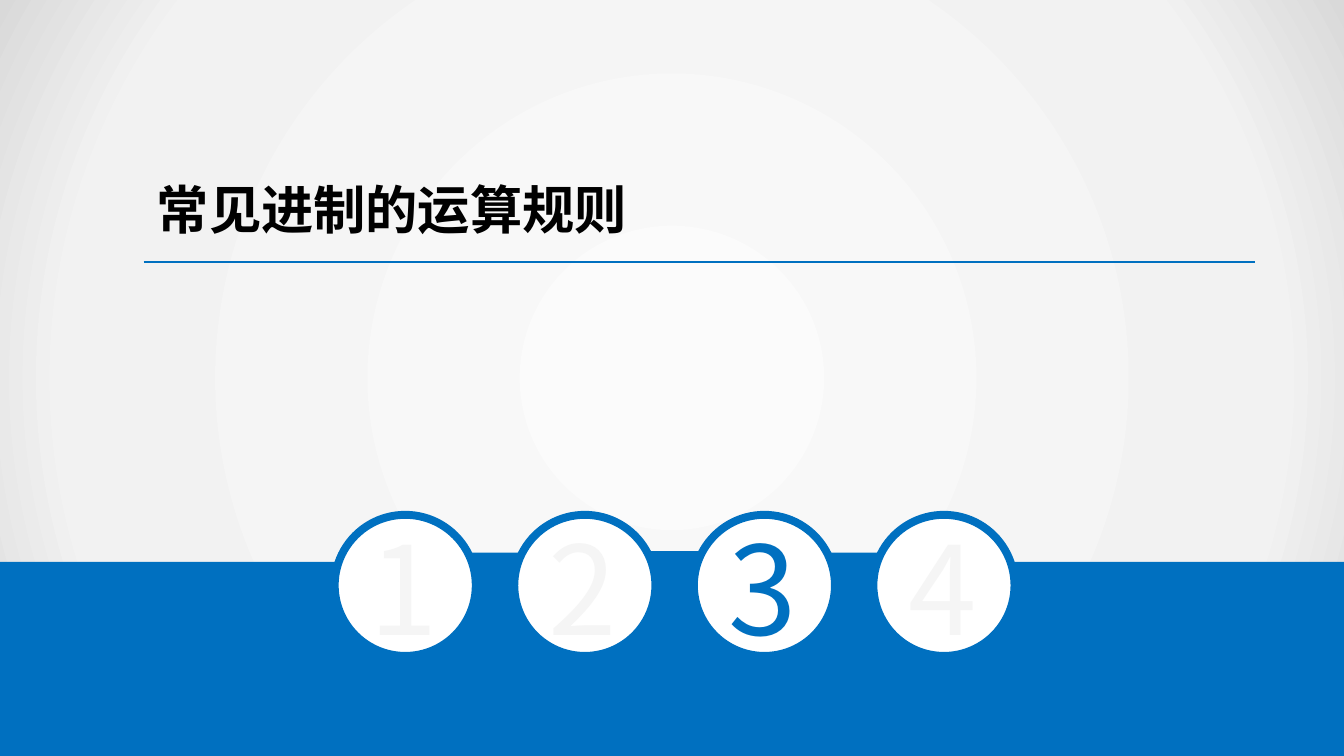
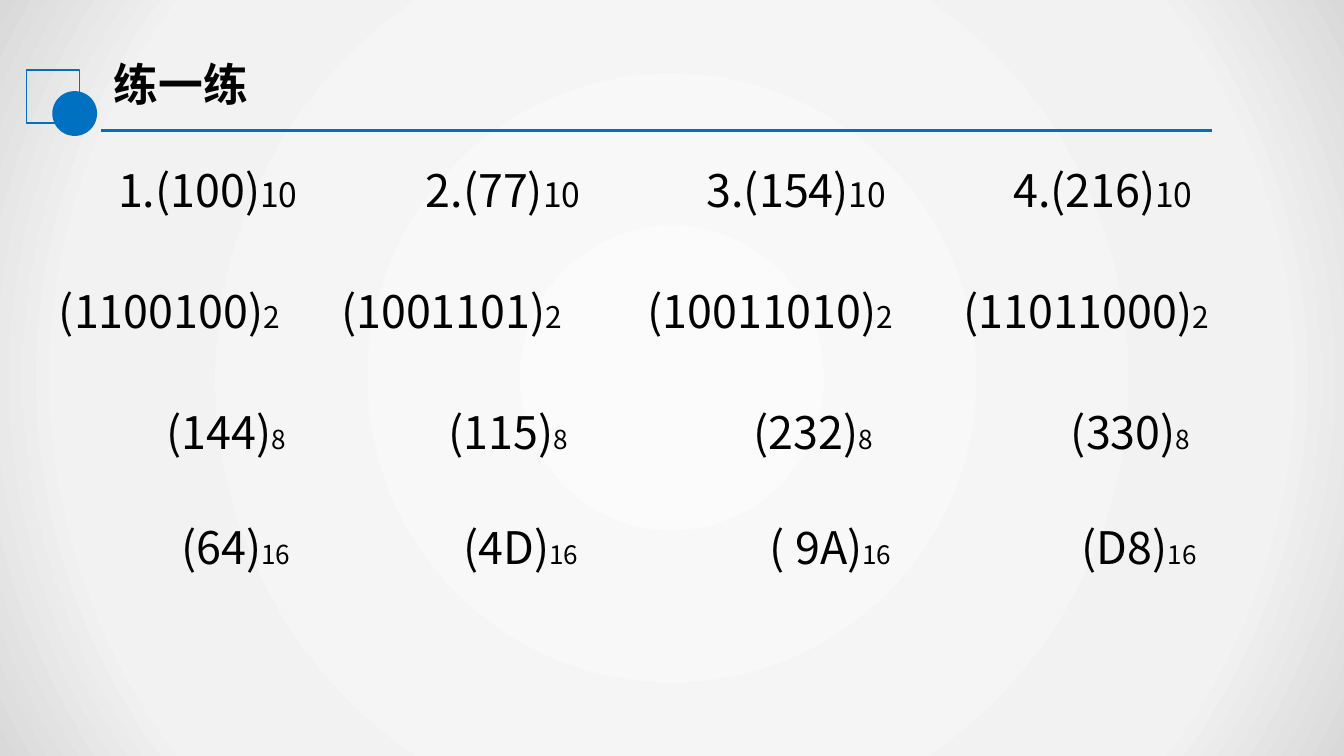
import math
from dataclasses import dataclass

import lxml.etree as etree
import pptx
import pptx.dml.color
import pptx.enum.shapes
import pptx.enum.text
import pptx.oxml.ns
import pptx.util

Pt = pptx.util.Pt
qn = pptx.oxml.ns.qn
SHAPE = pptx.enum.shapes.MSO_SHAPE
ANCHOR = pptx.enum.text.MSO_ANCHOR


@dataclass(frozen=True)
class Theme:
    blue: str = "0070C0"
    white: str = "FFFFFF"
    black: str = "000000"
    pale: str = "F5F5F5"
    backdrop: str = "F2F2F2"
    glow: tuple = ((0, "FBFBFB"), (79, "F2F2F2"), (100, "D9D9D9"))
    title_font: str = "Arial"
    body_font: str = "Noto Sans CJK SC"
    section: int = 28
    title: int = 24
    body: int = 24
    number: int = 66


T = Theme()
W, H = 720, 405

SECTION_TITLE = "常见进制的运算规则"
SECTIONS = ["1", "2", "3", "4"]
CURRENT = "3"

EXERCISE_TITLE = "练一练"
# Each row: top, base, size of the base, then (number, left, width) per exercise.
CONVERSIONS = [
    (83.5, "10", 18, [("1.(100)", 56.2, 113.8), ("2.(77)", 221, 99.4),
                      ("3.(154)", 371.5, 113.8), ("4.(216)", 535.7, 113.8)]),
    (148.3, "2", 16, [("(1100100)", 24.5, 138.2), ("(1001101)", 175.7, 138.2),
                      ("(10011010)", 339.8, 151.9), ("(11011000)", 509, 151.9)]),
    (213.1, "8", 14, [("(144)", 82.1, 80.6), ("(115)", 233.3, 80.6),
                      ("(232)", 396.7, 80.6), ("(330)", 566.6, 80.6)]),
    (275, "16", 14, [("(64)", 90, 74.9), ("(4D)", 241.2, 79.2),
                     ("( 9A)", 405.4, 85), ("(D8)", 572.4, 79.2)]),
]

# Section markers along the band
CIRCLE_LEFT, CIRCLE_TOP, CIRCLE_SIZE, PITCH = 179.3, 275.8, 75.6, 96.2
BAND_TOP, NOTCH_RX, NOTCH_RY = 301, 12, 11.5
LINK_LEFTS, LINK_TOP, LINK_W, LINK_H = [249.1, 347, 437.8], 296, 34, 29


def rgb(color):
    return pptx.dml.color.RGBColor.from_string(color)


def paint(s, fill=None, line=None, width=0.75):
    s.shadow.inherit = False
    if fill:
        s.fill.solid()
        s.fill.fore_color.rgb = rgb(fill)
    else:
        s.fill.background()
    if line:
        s.line.color.rgb = rgb(line)
        s.line.width = Pt(width)
    else:
        s.line.fill.background()


def add_shape(slide, kind, x, y, w, h, **look):
    s = slide.shapes.add_shape(kind, Pt(x), Pt(y), Pt(w), Pt(h))
    paint(s, **look)
    return s


def add_text(slide, x, y, w, h, runs, font=T.body_font, color=T.black,
             bold=False, wrap=False, grow=True, anchor=ANCHOR.TOP):
    """Add one line of text; runs are (text, size) pairs."""
    s = slide.shapes.add_textbox(Pt(x), Pt(y), Pt(w), Pt(h))
    tf = s.text_frame
    tf.word_wrap = wrap
    tf.vertical_anchor = anchor
    if grow:
        tf.auto_size = pptx.enum.text.MSO_AUTO_SIZE.SHAPE_TO_FIT_TEXT
    p = tf.paragraphs[0]
    for text, size in runs:
        r = p.add_run()
        r.text = text
        r.font.size = Pt(size)
        r.font.bold = bold
        r.font.color.rgb = rgb(color)
        r.font.name = font
        ea = etree.SubElement(r.font._element, qn("a:ea"))
        ea.set("typeface", T.body_font)
    return s


def add_rule(slide, x1, x2, y):
    s = slide.shapes.add_connector(pptx.enum.shapes.MSO_CONNECTOR.STRAIGHT,
                                   Pt(x1), Pt(y), Pt(x2), Pt(y))
    s.line.color.rgb = rgb(T.blue)
    s.line.width = Pt(1.25)
    etree.SubElement(s._element.spPr, qn("a:effectLst"))


def add_slide(prs):
    """Add a blank slide with the shared circular glow behind it."""
    slide = prs.slides.add_slide(prs.slide_layouts[6])
    slide.background.fill.solid()
    slide.background.fill.fore_color.rgb = rgb(T.backdrop)
    s = add_shape(slide, SHAPE.RECTANGLE, 0, 0, W, H)
    grad = etree.Element(qn("a:gradFill"), rotWithShape="1")
    stops = etree.SubElement(grad, qn("a:gsLst"))
    for pos, color in T.glow:
        gs = etree.SubElement(stops, qn("a:gs"), pos=str(pos * 1000))
        etree.SubElement(gs, qn("a:srgbClr"), val=color)
    shade = etree.SubElement(grad, qn("a:path"))
    shade.set("path", "circle")
    etree.SubElement(shade, qn("a:fillToRect"),
                     {side: "50000" for side in "ltrb"})
    sp_pr = s._element.spPr
    sp_pr.replace(sp_pr.find(qn("a:noFill")), grad)
    return slide


def add_band(slide):
    """Draw the bottom band, with a round notch midway between circles."""
    points = []
    for i in range(len(SECTIONS) - 1):
        cx = CIRCLE_LEFT + CIRCLE_SIZE / 2 + PITCH * (i + 0.5)
        for step in range(25):
            a = math.pi * step / 24
            points.append((cx - NOTCH_RX * math.cos(a),
                           BAND_TOP + NOTCH_RY * math.sin(a)))
    points += [(W, BAND_TOP), (W, H), (0.5, H)]
    fb = slide.shapes.build_freeform(0.5, BAND_TOP, scale=float(Pt(1)))
    fb.add_line_segments(points, close=True)
    paint(fb.convert_to_shape(), fill=T.blue)


def section_slide(prs):
    slide = add_slide(prs)
    for x in LINK_LEFTS:
        add_shape(slide, SHAPE.RECTANGLE, x, LINK_TOP, LINK_W, LINK_H, fill=T.blue)
    # The middle link stands slightly taller than its neighbours.
    add_shape(slide, SHAPE.RECTANGLE, LINK_LEFTS[1], LINK_TOP, LINK_W, LINK_H - 1,
              fill=T.blue, line=T.blue, width=2)
    add_band(slide)
    lefts = [CIRCLE_LEFT + PITCH * i for i in range(len(SECTIONS))]
    for x in lefts:
        add_shape(slide, SHAPE.OVAL, x, CIRCLE_TOP, CIRCLE_SIZE, CIRCLE_SIZE,
                  fill=T.white, line=T.blue, width=4.25)
    add_text(slide, 77, 83.5, 305.3, 56.9, [(SECTION_TITLE, T.section)],
             font=T.title_font, bold=True, wrap=True, grow=False,
             anchor=ANCHOR.MIDDLE)
    add_rule(slide, 77, 672.5, 140.4)
    for x, number in zip(lefts, SECTIONS):
        add_text(slide, x + 11.5, 270.7, 50.4, 87.1, [(number, T.number)],
                 color=T.blue if number == CURRENT else T.pale)


def exercise_slide(prs):
    slide = add_slide(prs)
    add_text(slide, 54, 26.6, 329, 36, [(EXERCISE_TITLE, T.title)],
             font=T.title_font, bold=True, wrap=True)
    add_shape(slide, SHAPE.RECTANGLE, 14.2, 37.6, 28.3, 28.3, line=T.blue)
    add_rule(slide, 54, 649.4, 70)
    add_shape(slide, SHAPE.OVAL, 28, 48.8, 24, 24, fill=T.blue)
    for top, base, base_size, numbers in CONVERSIONS:
        for number, left, width in numbers:
            add_text(slide, left, top, width, 36,
                     [(number, T.body), (base, base_size)])


def main():
    prs = pptx.Presentation()
    prs.slide_width, prs.slide_height = Pt(W), Pt(H)
    section_slide(prs)
    exercise_slide(prs)
    prs.save("out.pptx")


if __name__ == "__main__":
    main()
